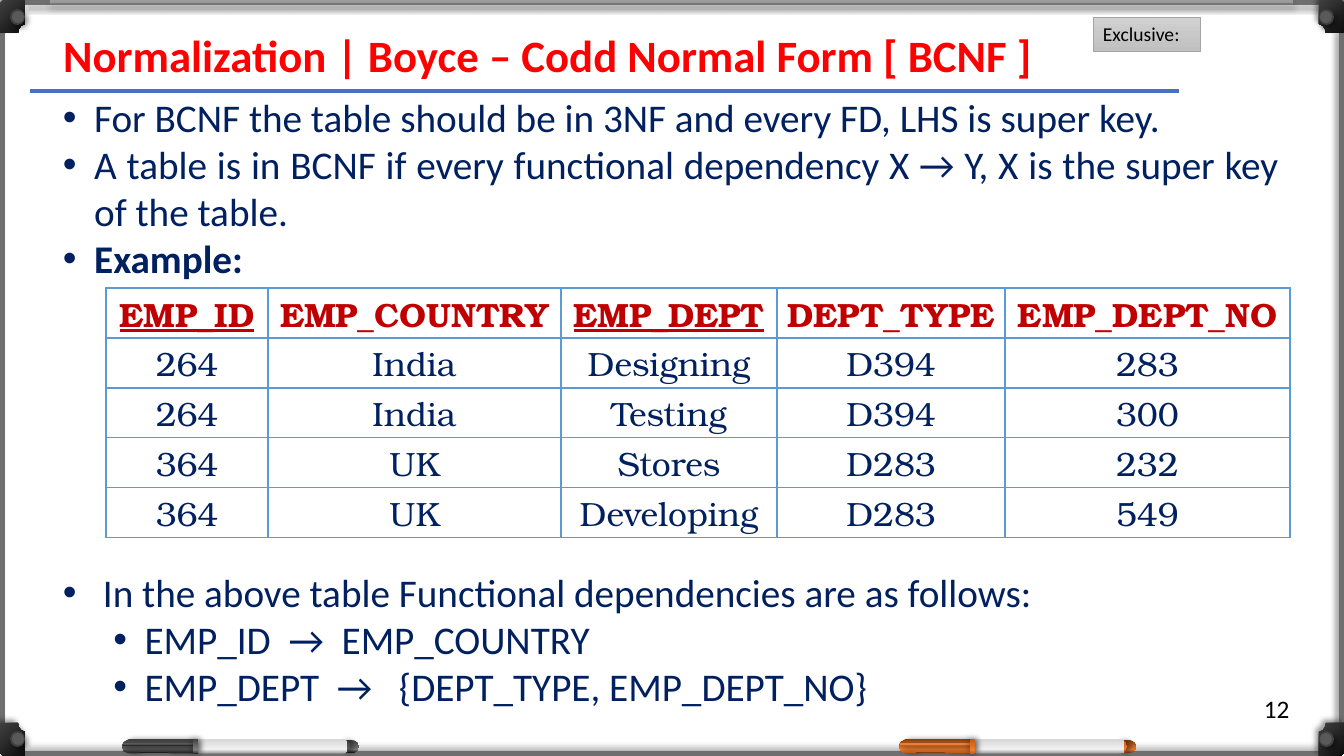
from lxml import etree
from pptx import Presentation
from pptx import util as u
from pptx.dml.color import RGBColor
from pptx.enum import shapes, text
from pptx.oxml import ns

COLORS = {
    "frame": "706F6F", "gloss": "D9D9D9", "eye": "404040", "pupil": "595959",
    "rule": "4472C4", "tag": "A5A5A5", "title": "FF0000", "body": "002060",
    "head": "C00000", "grid": "5B9BD5", "black": "000000",
}
BODY_FONT, TABLE_FONT = "Calibri", "TeX Gyre Bonum"
W, H = 1344, 756

TITLE = "Normalization | Boyce – Codd Normal Form [ BCNF ]"
BULLETS = [
    ("For BCNF the table should be in 3NF and every FD, LHS is super key.", 0),
    ("A table is in BCNF if every functional dependency X → Y, X is the super key of the table.", 0),
    ("Example:", 0),
    (" In the above table Functional dependencies are as follows:", 0),
    ("EMP_ID  →  EMP_COUNTRY", 1),
    ("EMP_DEPT  →   {DEPT_TYPE, EMP_DEPT_NO}", 1),
]
BOLD_BULLET, BULLET_AFTER_TABLE = 2, 3
TABLE = [
    ("EMP_ID", "EMP_COUNTRY", "EMP_DEPT", "DEPT_TYPE", "EMP_DEPT_NO"),
    ("264", "India", "Designing", "D394", "283"),
    ("264", "India", "Testing", "D394", "300"),
    ("364", "UK", "Stores", "D283", "232"),
    ("364", "UK", "Developing", "D283", "549"),
]
KEYS = ("EMP_ID", "EMP_DEPT")
COLUMNS = [162, 293, 216, 228, 285]
ROW = 50

BARS = [
    ((25, 0, 1319, 5), "frame", 100, 90),
    ((0, 25, 5, 698), "frame", 100, 180),
    ((25, 751, 1294, 5), "frame", 100, 270),
    ((1339, 33, 5, 698), "frame", 100, 180),
    ((50, 0, 1243, 5), "gloss", 16, 90),
    ((50, 0, 1243, 3), "gloss", 33, 90),
]
CORNER = [(0, 3), (3, 0), (25, 0), (25, 24), (21, 26), (19, 29), (18, 33), (0, 33)]
CORNER_STOPS = [(0, "404040"), (100, "0D0D0D")]
TAG_STOPS = [(0, "D2D2D2"), (50, "C8C8C8"), (100, "C0C0C0")]
BARREL_STOPS = [(8, "D9D9D9"), (74, "F2F2F2"), (100, "A6A6A6")]
CAP = [(75, 0), (7, 0), (2, 3), (0, 7), (2, 12), (7, 14), (16, 14), (18, 12),
       (45, 12), (47, 14), (75, 14)]
MARKERS = [
    (122, {
        "tip": [(0, "404040"), (74, "808080"), (100, "0D0D0D")],
        "plug": [(0, "404040"), (67, "595959"), (100, "262626")],
        "clip": [(71, "0D0D0D"), (100, "404040")],
        "cap": [(0, "404040"), (73, "595959"), (100, "262626")],
        "slot": [(32, "595959"), (71, "404040"), (100, "0D0D0D")],
        "ring": [(0, "404040"), (73, "808080"), (100, "262626")],
    }),
    (899, {
        "tip": [(0, "843C0B"), (74, "ED7D31"), (100, "843C0B")],
        "plug": [(0, "C55A11"), (67, "ED7D31"), (100, "843C0B")],
        "clip": [(71, "843C0B"), (100, "C55A11")],
        "cap": [(0, "843C0B"), (73, "ED7D31"), (100, "C55A11")],
        "slot": [(32, "ED7D31"), (71, "ED7D31"), (100, "843C0B")],
        "ring": [(0, "C55A11"), (73, "ED7D31"), (100, "C55A11")],
    }),
]

SCALE = 12192000 / W
SHAPE = shapes.MSO_SHAPE


def px(*values):
    return [u.Emu(round(v * SCALE)) for v in values]


def rgb(name):
    return RGBColor.from_string(COLORS[name])


def sub(parent, tag, **attrs):
    return etree.SubElement(parent, ns.qn(tag), {k: str(v) for k, v in attrs.items()})


def finish(sp, color=None, alpha=100, stops=None, angle=90, shadow=None, blur=4, dist=3):
    sp.line.fill.background()
    sp.shadow.inherit = False
    if stops:
        sp.fill.gradient()
        grad = sp._element.spPr.find(ns.qn("a:gradFill"))
        for child in list(grad):
            grad.remove(child)
        gs_list = sub(grad, "a:gsLst")
        for pos, value in stops:
            sub(sub(gs_list, "a:gs", pos=pos * 1000), "a:srgbClr", val=value)
        sub(grad, "a:lin", ang=angle * 60000, scaled=0)
    else:
        sp.fill.solid()
        sp.fill.fore_color.rgb = rgb(color)
        if alpha < 100:
            clr = sp._element.spPr.find(".//" + ns.qn("a:srgbClr"))
            sub(clr, "a:alpha", val=alpha * 1000)
    if shadow is not None:
        outer = sub(sp._element.spPr.find(ns.qn("a:effectLst")), "a:outerShdw",
                    blurRad=u.Pt(blur), dist=u.Pt(dist), dir=shadow * 60000,
                    algn="ctr", rotWithShape=0)
        sub(sub(outer, "a:srgbClr", val=COLORS["black"]), "a:alpha", val=40000)
    return sp


def preset(kind, box, **style):
    return finish(s.shapes.add_shape(kind, *px(*box)), **style)


def outline(points, **style):
    builder = s.shapes.build_freeform(*points[0], scale=SCALE)
    builder.add_line_segments(points[1:], close=True)
    return finish(builder.convert_to_shape(), **style)


def font(p, name, size, color, bold=False):
    p.font.name, p.font.size, p.font.bold = name, u.Pt(size), bold
    p.font.color.rgb = rgb(color)


def add_corner(right, bottom):
    def box(x, y, w, h):
        return (W - x - w if right else x, H - y - h if bottom else y, w, h)
    outline([box(x, y, 0, 0)[:2] for x, y in CORNER],
            stops=CORNER_STOPS, angle=45, shadow=225)
    preset(SHAPE.OVAL, box(10, 9, 15, 16), color="eye", shadow=45)
    preset(SHAPE.OVAL, box(12, 11, 12, 12), color="pupil")


def add_marker(x, stops):
    y = 739
    preset(SHAPE.FLOWCHART_DELAY, (x + 220, y + 1, 17, 13), stops=stops["tip"])
    preset(SHAPE.OVAL, (x + 217, y + 1, 11, 13), stops=stops["plug"], shadow=0)
    preset(SHAPE.ROUNDED_RECTANGLE, (x + 75, y, 150, 14), stops=BARREL_STOPS)
    preset(SHAPE.RECTANGLE, (x + 11, y + 11, 41, 3), stops=stops["clip"])
    outline([(x + dx, y + dy) for dx, dy in CAP], stops=stops["cap"], shadow=0)
    preset(SHAPE.ROUNDED_RECTANGLE, (x + 1, y + 4, 70, 3), stops=stops["slot"], shadow=45)
    preset(SHAPE.ROUNDED_RECTANGLE, (x + 71, y, 5, 15), stops=stops["ring"],
           shadow=0, blur=5, dist=0)


prs = Presentation()
prs.slide_width, prs.slide_height = px(W, H)
s = prs.slides.add_slide(prs.slide_layouts[5])

for box, color, alpha, shadow in BARS:
    preset(SHAPE.RECTANGLE, box, color=color, alpha=alpha, shadow=shadow)
for right, bottom in [(1, 1), (1, 0), (0, 0), (0, 1)]:
    add_corner(right, bottom)
for x, stops in MARKERS:
    add_marker(x, stops)

rule = s.shapes.add_connector(shapes.MSO_CONNECTOR.STRAIGHT, *px(30, 91, 1179, 91))
rule.line.color.rgb, rule.line.width = rgb("rule"), u.Pt(3)
sub(rule._element.spPr, "a:effectLst")

tag = preset(SHAPE.RECTANGLE, (1093, 17, 107, 34), stops=TAG_STOPS)
tag.line.color.rgb, tag.line.width = rgb("tag"), u.Pt(0.5)
number = s.shapes.add_textbox(*px(1254, 688, 50, 40))
for sp, words, size in [(tag, "Exclusive:", 14), (number, "12", 18)]:
    sp.text_frame.word_wrap = False
    p = sp.text_frame.paragraphs[0]
    p.text, p.alignment = words, text.PP_ALIGN.LEFT
    font(p, BODY_FONT, size, "black")

title = s.shapes.title
title.left, title.top, title.width, title.height = px(53, 23, 1006, 64)
title.text_frame.text = TITLE
title.text_frame.vertical_anchor = text.MSO_ANCHOR.TOP
p = title.text_frame.paragraphs[0]
p.alignment = text.PP_ALIGN.LEFT
font(p, BODY_FONT, 32, "title", True)

tf = s.shapes.add_textbox(*px(53, 88, 1236, 628)).text_frame
tf.word_wrap = True
for i, (words, level) in enumerate(BULLETS):
    p = tf.paragraphs[0] if i == 0 else tf.add_paragraph()
    p.text, p.level, p.alignment = words, level, text.PP_ALIGN.JUSTIFY
    font(p, BODY_FONT, 28, "body", i == BOLD_BULLET)
    if i == BULLET_AFTER_TABLE:
        p.space_before = u.Pt(205)
    pPr = p._p.get_or_add_pPr()
    pPr.set("marL", str(u.Inches(0.31 + 0.5 * level)))
    pPr.set("indent", str(u.Inches(-0.31)))
    sub(pPr, "a:buFont", typeface="Arial")
    sub(pPr, "a:buChar", char="•")

table = s.shapes.add_table(len(TABLE), len(COLUMNS),
                           *px(106, 288, sum(COLUMNS), ROW * len(TABLE))).table
table.first_row = table.horz_banding = False
for column, width in zip(table.columns, COLUMNS):
    column.width = px(width)[0]
for i, row in enumerate(TABLE):
    for j, words in enumerate(row):
        cell = table.cell(i, j)
        cell.margin_top = cell.margin_bottom = 0
        cell.vertical_anchor = text.MSO_ANCHOR.MIDDLE
        p = cell.text_frame.paragraphs[0]
        p.text, p.alignment = words, text.PP_ALIGN.CENTER
        font(p, TABLE_FONT, 24, "body" if i else "head", i == 0)
        p.font.underline = words in KEYS
        tcPr = cell._tc.get_or_add_tcPr()
        for side in ("a:lnL", "a:lnR", "a:lnT", "a:lnB"):
            fill = sub(sub(tcPr, side, w=u.Pt(1)), "a:solidFill")
            sub(fill, "a:srgbClr", val=COLORS["grid"])
        cell.fill.background()

prs.save("out.pptx")
